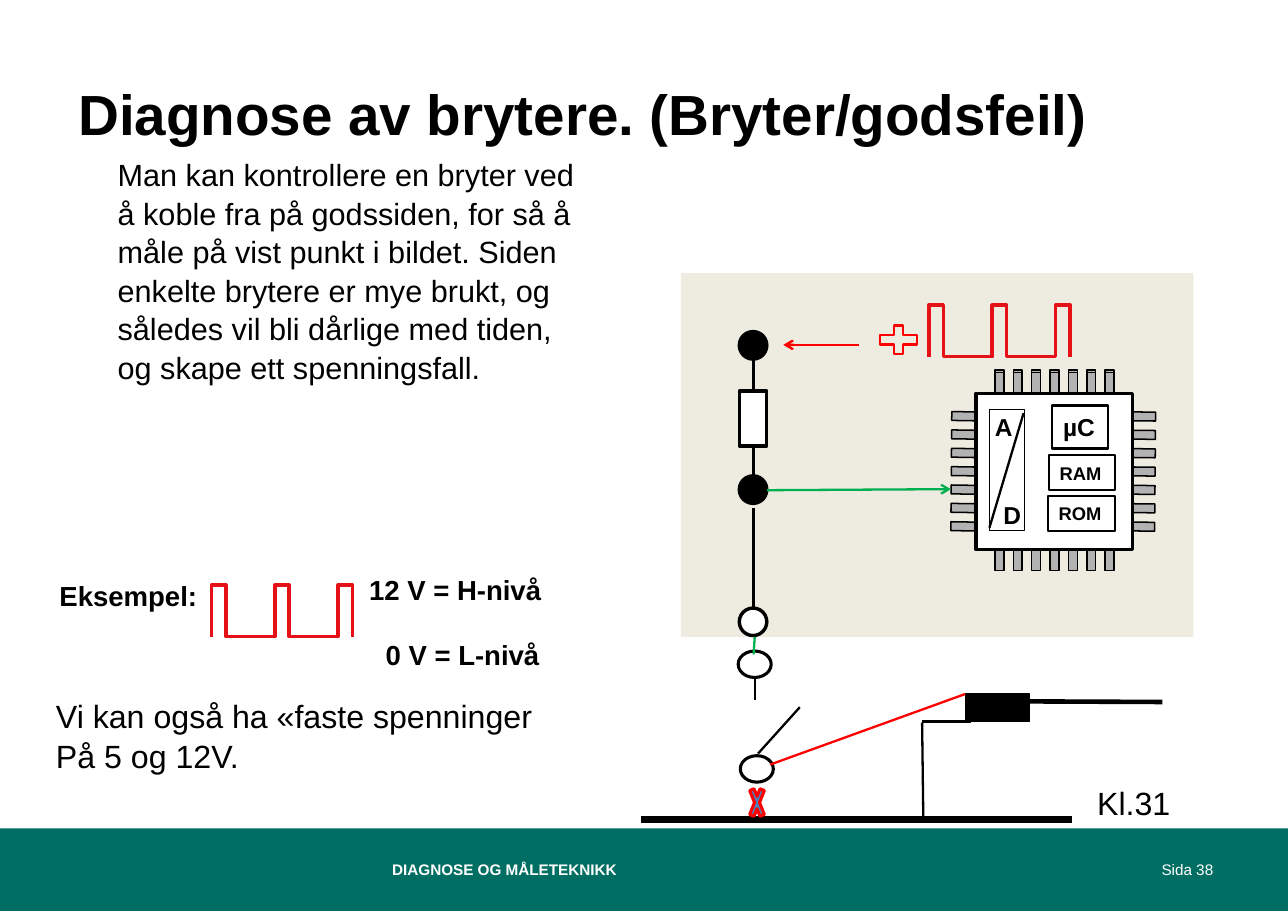
from pptx import Presentation
from pptx.dml.color import RGBColor
from pptx.enum.shapes import MSO_CONNECTOR, MSO_SHAPE as SHP
from pptx.enum.text import MSO_ANCHOR as ANC, PP_ALIGN as AL
from pptx.oxml.ns import qn
from pptx.util import Pt
from lxml.etree import SubElement

C = {"black": "000000", "white": "FFFFFF", "footer": "006E63", "board": "EEECE1", "pin": "B2B2B2",
     "pulse": "E61117", "red": "FF0000", "green": "00B050", "blue": "4F81BD"}
W, H = 841.7, 595.4


def rgb(name):
    """Return the named colour."""
    return RGBColor.from_string(C[name])


def style(sp, fill, line, weight):
    """Set fill and outline of a shape, with None for neither."""
    sp.shadow.inherit = False
    if fill:
        sp.fill.solid()
        sp.fill.fore_color.rgb = rgb(fill)
    else:
        sp.fill.background()
    if line:
        sp.line.color.rgb = rgb(line)
        sp.line.width = Pt(weight)
    else:
        sp.line.fill.background()


def shape(s, kind, x, y, w, h, fill="white", line="black", weight=2.25):
    """Add a preset shape."""
    sp = s.shapes.add_shape(kind, Pt(x), Pt(y), Pt(w), Pt(h))
    style(sp, fill, line, weight)
    return sp


def write(tf, lines, size, bold=False, color="black", align=AL.LEFT, anchor=ANC.TOP,
          inset=(7.2, 3.6), spacing=None, wrap=True):
    """Fill a text frame with one paragraph per line."""
    tf.word_wrap = wrap
    tf.vertical_anchor = anchor
    tf.margin_left, tf.margin_right = Pt(inset[0]), Pt(7.2)
    tf.margin_top = tf.margin_bottom = Pt(inset[1])
    for i, line in enumerate(lines):
        p = tf.add_paragraph() if i else tf.paragraphs[0]
        p.alignment = align
        p.line_spacing = spacing
        r = p.add_run()
        r.text = line
        r.font.name, r.font.size, r.font.bold = "Arial", Pt(size), bold
        r.font.color.rgb = rgb(color)


def text(s, x, y, w, h, lines, size, **look):
    """Add a text box."""
    write(s.shapes.add_textbox(Pt(x), Pt(y), Pt(w), Pt(h)).text_frame, lines, size, **look)


def wire(s, x, y, start, end, color="black", weight=1.5, arrow=False):
    """Add a line between two points measured from x, y."""
    cx = s.shapes.add_connector(MSO_CONNECTOR.STRAIGHT, Pt(x + start[0]), Pt(y + start[1]),
                                Pt(x + end[0]), Pt(y + end[1]))
    cx.line.color.rgb = rgb(color)
    cx.line.width = Pt(weight)
    if arrow:
        SubElement(cx.line._get_or_add_ln(), qn("a:tailEnd"), type="arrow")
    SubElement(cx._element.spPr, qn("a:effectLst"))


def pulses(s, x, y, step=41.4, width=9.4, height=33.8):
    """Draw a train of three square pulses."""
    pts = []
    for i in range(3):
        left, right = x + i * step, x + i * step + width
        pts += [(left, y + height), (left, y), (right, y), (right, y + height)]
    pts = [(Pt(a), Pt(b)) for a, b in pts]
    fb = s.shapes.build_freeform(*pts[0])
    fb.add_line_segments(pts[1:], close=False)
    style(fb.convert_to_shape(), None, "pulse", 2.25)


def footer(s, x, y, w, h):
    """Draw the footer band with course name and page number."""
    shape(s, SHP.RECTANGLE, x, y, w, h, "footer", None)
    look = dict(color="white", anchor=ANC.MIDDLE, inset=(7.9, 4.3))
    text(s, x + 673.2, y, 126.7, h, ["Sida 38"], 10, align=AL.RIGHT, **look)
    text(s, x + 248.4, y, 477.4, h, ["DIAGNOSE OG MÅLETEKNIKK"], 10, bold=True, **look)


def heading(s, x, y, w, h):
    """Place and fill the title."""
    sp = s.shapes.title
    sp.left, sp.top, sp.width, sp.height = Pt(x), Pt(y), Pt(w), Pt(h)
    write(sp.text_frame, ["Diagnose av brytere. (Bryter/godsfeil)"], 37, bold=True, inset=(7.9, 4.3))


def example(s, x, y):
    """Draw the signal example with its level labels."""
    look = dict(bold=True, inset=(0, 4.3))
    text(s, x, y + 4.3, 113, 30.2, ["Eksempel:"], 18, align=AL.RIGHT, **look)
    pulses(s, x + 115.2, y + 12.2)
    text(s, x + 218.2, y, 175.7, 30.2, ["12 V = H-nivå"], 18, **look)
    text(s, x + 229, y + 42.5, 167, 30.2, ["0 V = L-nivå"], 18, **look)


def chip(s, x, y):
    """Draw the control unit chip with its pins and blocks."""
    for top in (0, 1.5, 100.8):
        for i in range(7):
            shape(s, SHP.RECTANGLE, x + 29.2 + 12 * i, y + top, 5.8, 30.2, "pin", weight=1)
    for left, angle in ((115.6, 270.7), (12.6, 270.9)):
        for i in range(7):
            pin = shape(s, SHP.RECTANGLE, x + left + 0.1 * (6 - i), y + 15.1 + 12 * i, 5.8, 30.2, "pin", weight=1)
            pin.rotation = angle
    shape(s, SHP.RECTANGLE, x + 16.9, y + 15.1, 102.2, 102.2)
    shape(s, SHP.RECTANGLE, x + 25.6, y + 25.9, 23, 79.2, weight=0.75)
    text(s, x + 22, y + 23.8, 28.8, 26.6, ["A"], 16, bold=True)
    text(s, x + 27.7, y + 81.4, 21.6, 26.6, ["D"], 16, bold=True)
    wire(s, x, y, (47.9, 28.1), (25.6, 103))
    for label, left, top, w, h, size in (("µC", 66.6, 23.1, 36.7, 28.1, 16),
                                         ("RAM", 64.4, 55.5, 43.2, 23, 12),
                                         ("ROM", 63.7, 82.1, 43.9, 23, 12)):
        sp = shape(s, SHP.RECTANGLE, x + left, y + top, w, h, weight=1.5)
        write(sp.text_frame, [label], size, bold=True, anchor=ANC.MIDDLE, wrap=False)


def board(s, x, y, w, h):
    """Draw the control unit with its supply, resistor and chip."""
    shape(s, SHP.RECTANGLE, x, y, w, h, "board", None)
    chip(s, x + 176, y + 63.3)
    for top, fill in ((38.1, "black"), (132.4, "black"), (218.8, "white")):
        shape(s, SHP.OVAL, x + 38.1, y + top, 18, 18, fill)
    shape(s, SHP.RECTANGLE, x + 38.1, y + 77, 18, 36)
    for top, bottom in ((56.1, 77), (113, 132.4), (153.3, 218.8)):
        wire(s, x, y, (47.5, top), (47.5, bottom))
    wire(s, x, y, (56.1, 141.8), (176.4, 141.1), "green", arrow=True)
    wire(s, x, y, (116.6, 46.8), (66.9, 46.8), "red", arrow=True)
    shape(s, SHP.MATH_PLUS, x + 126, y + 30.9, 32.4, 25.2, None, "red", 1.5)
    pulses(s, x + 162, y + 20.8)


def switch(s, x, y):
    """Draw the switch, the broken ground and the test probe."""
    shape(s, SHP.OVAL, x + 63.4, y + 9.5, 21.6, 17.3, weight=2)
    wire(s, x, y, (0, 119.7), (281.6, 119.7), weight=4.5)
    shape(s, SHP.OVAL, x + 64.8, y + 77.9, 21.6, 17.3, weight=2)
    text(s, x + 290.9, y + 92.3, 62.6, 32.4, ["Kl.31"], 21)
    wire(s, x, y, (340.6, 42.8), (252.8, 42.4), weight=3)
    shape(s, SHP.RECTANGLE, x + 211.7, y + 37.6, 41.8, 18, "black", weight=0.75)
    wire(s, x, y, (215.3, 55.6), (183.6, 55.6))
    wire(s, x, y, (211.7, 37.6), (84.3, 83.7), "red")
    wire(s, x, y, (183.6, 56.3), (184.4, 119.7))
    wire(s, x, y, (74.2, 0.2), (73.5, 11.7), "green")
    wire(s, x, y, (76.4, 76.5), (103.7, 46.2))
    wire(s, x, y, (74.2, 26.8), (74.2, 41.2))
    shape(s, SHP.MATH_MULTIPLY, x + 69.2, y + 92.3, 13, 32.4, "blue", "red", 2)


def main():
    """Build the slide and save it."""
    prs = Presentation()
    prs.slide_width, prs.slide_height = Pt(W), Pt(H)
    s = prs.slides.add_slide(prs.slide_layouts[5])
    footer(s, 0, 541.4, W, 54)
    heading(s, 43.2, 47.5, 756.7, 81.4)
    example(s, 23, 370.1)
    board(s, 445, 178.6, 334.8, 237.6)
    switch(s, 419, 416)
    text(s, 69.8, 97.2, 323.3, 152.6, [
        "Man kan kontrollere en bryter ved å koble fra på godssiden, for så å måle på vist punkt i bildet. "
        "Siden enkelte brytere er mye brukt, og således vil bli dårlige med tiden, og skape ett spenningsfall."],
        20, spacing=1.05)
    text(s, 29.5, 450, 328.3, 58.3, ["Vi kan også ha «faste spenninger", "På 5 og 12V."], 21, spacing=1.05)
    prs.save("out.pptx")


if __name__ == "__main__":
    main()
